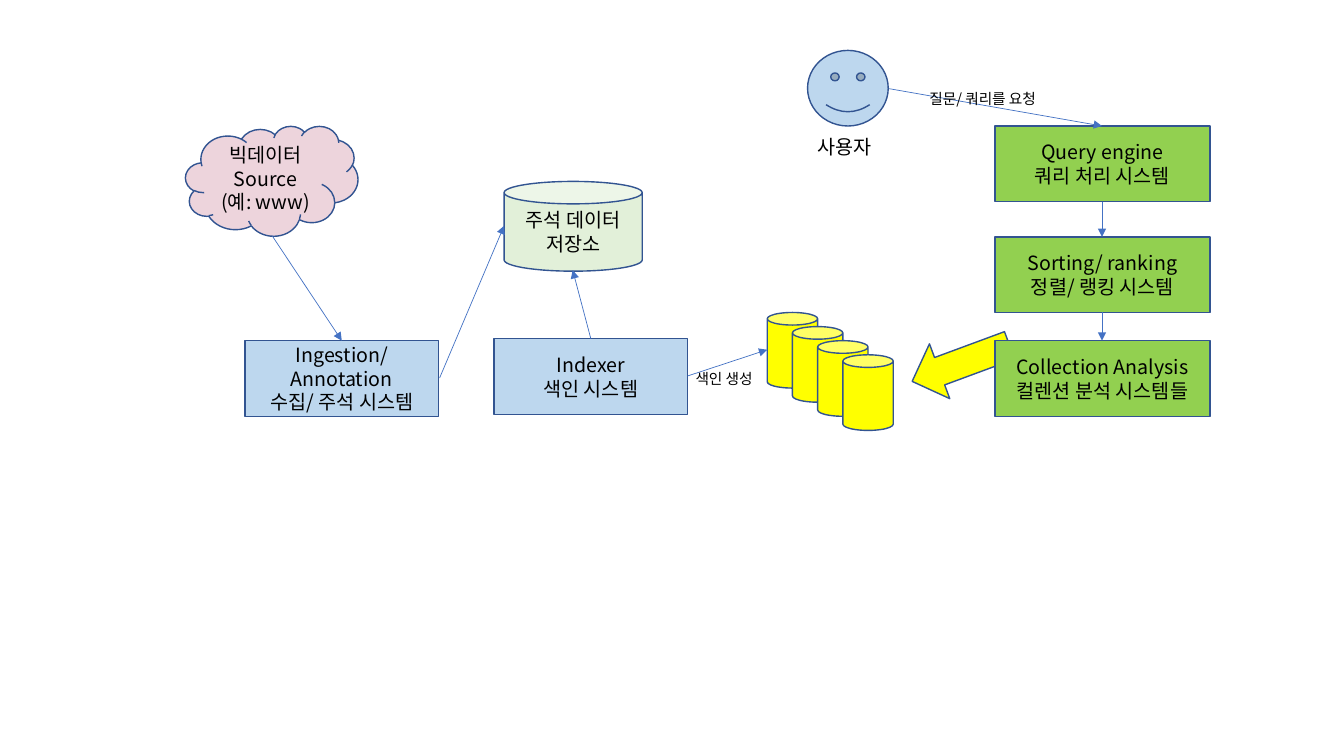
"""Builds a slide showing the architecture of a big data search system."""
from lxml import etree
from pptx import Presentation
from pptx.dml.color import RGBColor
from pptx.enum.shapes import MSO_CONNECTOR, MSO_SHAPE
from pptx.enum.text import MSO_ANCHOR, PP_ALIGN
from pptx.oxml.ns import qn
from pptx.util import Inches, Pt

RECT, CAN, CLOUD = MSO_SHAPE.RECTANGLE, MSO_SHAPE.CAN, MSO_SHAPE.CLOUD
SMILEY, DOWN_ARROW = MSO_SHAPE.SMILEY_FACE, MSO_SHAPE.DOWN_ARROW
STRAIGHT = MSO_CONNECTOR.STRAIGHT
CENTER, LEFT = PP_ALIGN.CENTER, PP_ALIGN.LEFT
MIDDLE, TOP = MSO_ANCHOR.MIDDLE, MSO_ANCHOR.TOP

FONT = "Noto Sans CJK KR"
COLORS = {
    "outline": "325491",
    "flow": "4472C4",
    "text": "000000",
    "source": "EDD4DC",
    "intake": "BDD7EE",
    "storage": "E2F0D9",
    "index": "FFFF00",
    "query": "92D050",
}


def write_text(frame, text, size=14, align=CENTER, anchor=MIDDLE):
    frame.word_wrap = True
    frame.vertical_anchor = anchor
    frame.text = text
    for paragraph in frame.paragraphs:
        paragraph.alignment = align
        for run in paragraph.runs:
            run.font.size = Pt(size)
            run.font.name = FONT
            run.font.color.rgb = RGBColor.from_string(COLORS["text"])
            east_asian = etree.SubElement(run.font._element, qn("a:ea"))
            east_asian.set("typeface", FONT)


def add_node(preset, box, color, text=""):
    node = slide.shapes.add_shape(preset, *map(Inches, box))
    node.shadow.inherit = False
    node.fill.solid()
    node.fill.fore_color.rgb = RGBColor.from_string(COLORS[color])
    node.line.color.rgb = RGBColor.from_string(COLORS["outline"])
    node.line.width = Pt(1)
    if text:
        write_text(node.text_frame, text)
    return node


prs = Presentation()
prs.slide_width, prs.slide_height = Inches(13.33), Inches(7.5)
slide = prs.slides.add_slide(prs.slide_layouts[6])

analysis_arrow = add_node(DOWN_ARROW, (9.24, 3.09, 0.58, 1.03), "index")
analysis_arrow.rotation = 69.7

add_node(CLOUD, (1.84, 1.25, 1.71, 1.09), "source", "빅데이터\nSource\n(예: www)")
add_node(RECT, (2.43, 3.38, 1.92, 0.75), "intake",
         "Ingestion/ Annotation\n수집/ 주석 시스템")
add_node(CAN, (5, 1.8, 1.37, 0.89), "storage", "주석 데이터 저장소")
add_node(RECT, (4.9, 3.36, 1.92, 0.75), "intake", "Indexer\n색인 시스템")

for step in range(4):
    add_node(CAN, (7.61 + 0.25 * step, 3.1 + 0.14 * step, 0.5, 0.75), "index")

add_node(SMILEY, (8.01, 0.5, 0.8, 0.75), "intake")

query_stages = [
    (1.25, "Query engine\n쿼리 처리 시스템"),
    (2.35, "Sorting/ ranking\n정렬/ 랭킹 시스템"),
    (3.38, "Collection Analysis\n컬렌션 분석 시스템들"),
]
for top, stage in query_stages:
    add_node(RECT, (9.87, top, 2.13, 0.75), "query", stage)

flows = [
    (2.7, 2.34, 3.39, 3.38),
    (4.36, 3.75, 5, 2.24),
    (5.86, 3.36, 5.68, 2.68),
    (6.82, 3.73, 7.61, 3.47),
    (8.82, 0.88, 10.93, 1.25),
    (10.93, 2, 10.93, 2.35),
    (10.93, 3.1, 10.93, 3.38),
]
for ends in flows:
    flow = slide.shapes.add_connector(STRAIGHT, *map(Inches, ends))
    flow.line.color.rgb = RGBColor.from_string(COLORS["flow"])
    flow.line.width = Pt(0.5)
    etree.SubElement(flow.line._get_or_add_ln(), qn("a:tailEnd")).set("type", "triangle")
    etree.SubElement(flow._element.spPr, qn("a:effectLst"))

captions = [
    ((8.01, 1.29, 0.84, 0.34), "사용자", 14),
    ((9.12, 0.84, 1.99, 0.29), "질문/ 쿼리를 요청", 10.5),
    ((6.8, 3.62, 1.99, 0.29), "색인 생성", 10.5),
]
for box, caption, size in captions:
    label = slide.shapes.add_textbox(*map(Inches, box))
    write_text(label.text_frame, caption, size=size, align=LEFT, anchor=TOP)

prs.save("out.pptx")
